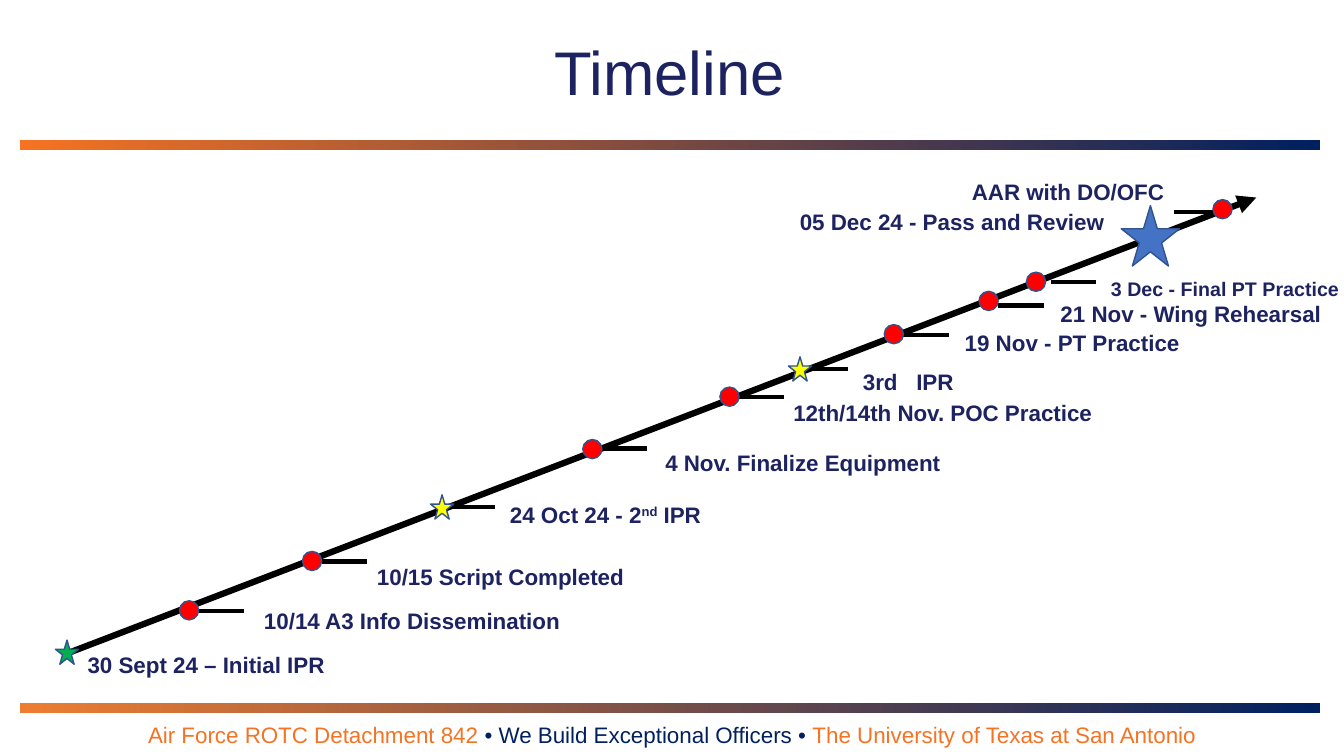
"""Build the Timeline slide: a rising arrow with dated events along it."""
from dataclasses import dataclass

from lxml import etree
from pptx import Presentation, util as u
from pptx.dml.color import RGBColor
from pptx.enum import shapes, text
from pptx.oxml.ns import qn


@dataclass(frozen=True)
class Theme:
    font: str = "Arial"
    ink: str = "1D2260"
    navy: str = "002060"
    orange: str = "F57322"
    soft_orange: str = "ED7D31"
    black: str = "000000"
    outline: str = "31538F"
    red: str = "FF0000"
    green: str = "00B050"
    yellow: str = "FFFF00"
    blue: str = "4472C4"
    title_size: int = 44
    body_size: int = 16
    small_size: int = 14


theme = Theme()
presentation = Presentation()
presentation.slide_width, presentation.slide_height = u.Inches(13.33), u.Inches(7.5)
column = presentation.slide_width / 133.3
row = presentation.slide_height / 75
slide = presentation.slides.add_slide(presentation.slide_layouts[5])


def box(left, top, width, height):
    """Turn columns and rows into slide lengths."""
    return [round(n * unit) for n, unit in
            ((left, column), (top, row), (width, column), (height, row))]


def style(paragraph, size, color, bold=False):
    """Set the font that all runs of a paragraph share."""
    font = paragraph.font
    font.name, font.size, font.bold = theme.font, u.Pt(size), bold
    font.color.rgb = RGBColor.from_string(color)


title = slide.shapes.title
title.left, title.top, title.width, title.height = box(25.2, 2.9, 82.4, 8.4)
title.text_frame.text = "Timeline"
title.text_frame.auto_size = text.MSO_AUTO_SIZE.NONE
title.text_frame.vertical_anchor = text.MSO_ANCHOR.TOP
title.text_frame.paragraphs[0].alignment = text.PP_ALIGN.CENTER
style(title.text_frame.paragraphs[0], theme.title_size, theme.ink)

for top, start in ((13.9, theme.orange), (69.7, theme.soft_orange)):
    band = slide.shapes.add_shape(shapes.MSO_SHAPE.RECTANGLE, *box(2, top, 128.9, 1))
    band.shadow.inherit = False
    band.line.fill.background()
    band.fill.gradient()
    band.fill.gradient_angle = 0
    for stop, position, color in zip(band.fill.gradient_stops, (0, 1), (start, theme.navy)):
        stop.position = position
        stop.color.rgb = RGBColor.from_string(color)

footer = slide.shapes.add_textbox(*box(0, 71, 133.3, 3.7)).text_frame
footer.word_wrap = True
footer.vertical_anchor = text.MSO_ANCHOR.BOTTOM
motto = footer.paragraphs[0]
motto.alignment = text.PP_ALIGN.CENTER
style(motto, theme.body_size, theme.orange)
for words, color in (("Air Force ROTC Detachment 842 ", theme.orange),
                     ("• We Build Exceptional Officers • ", theme.navy),
                     ("The University of Texas at San Antonio", theme.orange)):
    run = motto.add_run()
    run.text = words
    run.font.color.rgb = RGBColor.from_string(color)

dot = (shapes.MSO_SHAPE.OVAL, theme.red, 1.9, 1.9)
start_star, review_star, final_star = (
    (shapes.MSO_SHAPE.STAR_5_POINT, color, width, height) for color, width, height in
    ((theme.green, 2.3, 2.4), (theme.yellow, 2.3, 2.4), (theme.blue, 5.8, 6)))

# marker, its left and top, tick start, label left and top, label
events = (
    (start_star, (5.5, 63.5), None, (7.7, 63.7), "30 Sept 24 – Initial IPR"),
    (dot, (17.8, 59.6), (19.7, 60.6), (25.2, 59.3), "10/14 A3 Info Dissemination"),
    (dot, (30, 54.7), (31.9, 55.7), (36.4, 55), "10/15 Script Completed"),
    (review_star, (42.7, 49.1), (44.6, 50.3), (49.6, 48.8), "24 Oct 24 - 2^nd^ IPR"),
    (dot, (57.8, 43.6), (59.7, 44.5), (65, 43.7), "4 Nov. Finalize Equipment"),
    (dot, (71.4, 38.4), (73.3, 39.4), (77.7, 38.7), "12th/14th Nov. POC Practice"),
    (review_star, (78.2, 35.4), (79.6, 36.6), (84.6, 35.6), "3rd\tIPR"),
    (dot, (87.7, 32.2), (89.6, 33.2), (94.7, 31.8), "19 Nov - PT Practice"),
    (dot, (97.1, 28.9), (99, 30.3), (104.2, 28.9), "21 Nov - Wing Rehearsal"),
    (dot, (101.8, 27), (104.2, 28), (109.2, 26.6), "3 Dec - Final PT Practice"),
    (final_star, (111.2, 20.4), None, (75.5, 19.8), "05 Dec 24 - Pass and Review"),
    (dot, (120.3, 19.8), (116.4, 21), (95.4, 16.8), "AAR with DO/OFC"),
)

lines = [(6.2, 65, 118.4, -45.4, 4.5)]
lines += [(*tick, 4.5, 0, 3) for _, _, tick, _, _ in events if tick]
for left, top, width, height, weight in lines:
    x, y, across, down = box(left, top, width, height)
    line = slide.shapes.add_connector(shapes.MSO_CONNECTOR.STRAIGHT, x, y, x + across, y + down)
    line.line.width = u.Pt(weight)
    line.line.color.rgb = RGBColor.from_string(theme.black)
    if height:
        etree.SubElement(line.line._get_or_add_ln(), qn("a:tailEnd"), type="triangle")
    etree.SubElement(line._element.spPr, qn("a:effectLst"))

for (kind, color, width, height), place, _, label_place, label in events:
    marker = slide.shapes.add_shape(kind, *box(*place, width, height))
    marker.shadow.inherit = False
    marker.fill.solid()
    marker.fill.fore_color.rgb = RGBColor.from_string(color)
    marker.line.color.rgb = RGBColor.from_string(theme.outline)
    marker.line.width = u.Pt(1)

    frame = slide.shapes.add_textbox(*box(*label_place, 35, 4.1)).text_frame
    frame.word_wrap = True
    paragraph = frame.paragraphs[0]
    if "\t" in label:
        tabs = etree.SubElement(paragraph._p.get_or_add_pPr(), qn("a:tabLst"))
        etree.SubElement(tabs, qn("a:tab"), pos=str(round(5.3 * column)), algn="l")
    paragraph.line_spacing = 1.15
    if "Review" in label:
        paragraph.alignment = text.PP_ALIGN.RIGHT
    size = theme.small_size if "Final PT" in label else theme.body_size
    style(paragraph, size, theme.ink, bold=True)
    for index, piece in enumerate(label.split("^")):
        run = paragraph.add_run()
        run.text = piece
        if index == 1:
            run.font._element.set("baseline", "30000")

presentation.save("out.pptx")
